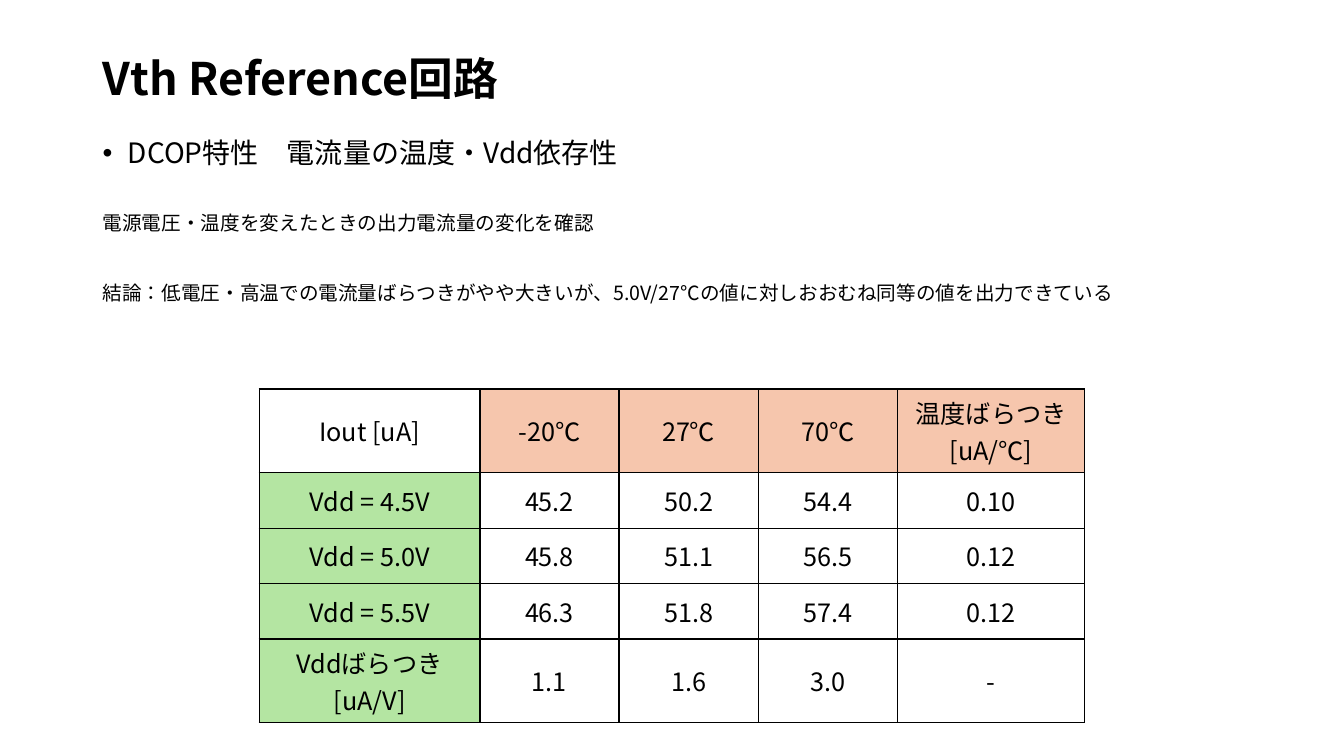
"""Build the Vth Reference circuit slide with its current table."""
from dataclasses import dataclass
from typing import Any

import lxml.etree
import pptx
import pptx.dml.color
import pptx.enum.lang
import pptx.enum.text
import pptx.oxml
import pptx.oxml.ns
import pptx.util

Inches = pptx.util.Inches
Pt = pptx.util.Pt
ALIGN = pptx.enum.text.PP_ALIGN
ANCHOR = pptx.enum.text.MSO_ANCHOR
JAPANESE = pptx.enum.lang.MSO_LANGUAGE_ID.JAPANESE
BLACK = pptx.dml.color.RGBColor(0x00, 0x00, 0x00)
ORANGE = pptx.dml.color.RGBColor(0xF6, 0xC6, 0xAD)
GREEN = pptx.dml.color.RGBColor(0xB4, 0xE5, 0xA2)
FONT = "Noto Sans CJK JP"


@dataclass(frozen=True)
class TextBlock:
    lines: tuple[str, ...]
    top: float
    height: float
    size: int
    bold: bool = False
    bullet: bool = False
    anchor: Any = ANCHOR.TOP
    gap: float = 0


BLOCKS = (
    TextBlock(("Vth Reference回路",), 0.4, 0.8, 32, bold=True, anchor=ANCHOR.MIDDLE),
    TextBlock(("DCOP特性　電流量の温度・Vdd依存性",), 1.33, 0.6, 20, bullet=True),
    TextBlock(
        (
            "電源電圧・温度を変えたときの出力電流量の変化を確認",
            "結論：低電圧・高温での電流量ばらつきがやや大きいが、5.0V/27℃の値に対しおおむね同等の値を出力できている",
        ),
        2.07, 1.37, 14, gap=35,
    ),
)
COL_WIDTHS = (2.19, 1.38, 1.38, 1.38, 1.86)
ROW_HEIGHTS = (0.83, 0.55, 0.55, 0.55, 0.83)
CURRENTS = (
    ("Iout [uA]", "-20℃", "27℃", "70℃", "温度ばらつき\n[uA/℃]"),
    ("Vdd = 4.5V", "45.2", "50.2", "54.4", "0.10"),
    ("Vdd = 5.0V", "45.8", "51.1", "56.5", "0.12"),
    ("Vdd = 5.5V", "46.3", "51.8", "57.4", "0.12"),
    ("Vddばらつき\n[uA/V]", "1.1", "1.6", "3.0", "-"),
)


def add_element(parent: Any, tag: str, **attrs: str) -> Any:
    """Append a DrawingML child element."""
    return lxml.etree.SubElement(parent, pptx.oxml.ns.qn(tag), attrs)


def set_attrs(target: Any, values: dict[str, Any]) -> None:
    """Set each named attribute on the target."""
    for name, value in values.items():
        setattr(target, name, value)


def format_run(r: Any, size: int, bold: bool = False) -> None:
    """Apply the slide font to a run."""
    r.font.color.rgb = BLACK
    set_attrs(r.font, {"name": FONT, "size": Pt(size), "bold": bold, "language_id": JAPANESE})
    add_element(r._r.get_or_add_rPr(), "a:ea", typeface=FONT)


def add_text(s: Any, block: TextBlock) -> None:
    """Draw one text block."""
    sp = s.shapes.add_textbox(Inches(0.92), Inches(block.top), Inches(11.5), Inches(block.height))
    tf = sp.text_frame
    set_attrs(tf, {"word_wrap": True, "vertical_anchor": block.anchor})
    for i, line in enumerate(block.lines):
        p = tf.paragraphs[0] if i == 0 else tf.add_paragraph()
        if block.bullet:
            pPr = p._p.get_or_add_pPr()
            pPr.set("marL", str(Inches(0.25)))
            pPr.set("indent", str(Inches(-0.25)))
            add_element(pPr, "a:buFont", typeface="Arial")
            add_element(pPr, "a:buChar", char="•")
        p.line_spacing = 0.9
        if i > 0:
            p.space_before = Pt(block.gap)
        r = p.add_run()
        r.text = line
        format_run(r, block.size, block.bold)


def add_borders(cell: Any) -> None:
    """Draw a thin black line on all four cell sides."""
    tcPr = cell._tc.get_or_add_tcPr()
    for side in ("a:lnL", "a:lnR", "a:lnT", "a:lnB"):
        ln = add_element(tcPr, side, w=str(Pt(1)))
        add_element(add_element(ln, "a:solidFill"), "a:srgbClr", val=str(BLACK))


def format_cell(cell: Any, text: str, fill: Any) -> None:
    """Fill in and format one table cell."""
    add_borders(cell)
    if fill is None:
        cell.fill.background()
    else:
        cell.fill.solid()
        cell.fill.fore_color.rgb = fill
    set_attrs(cell, {"text": text, "vertical_anchor": ANCHOR.MIDDLE})
    for p in cell.text_frame.paragraphs:
        p.alignment = ALIGN.CENTER
        for r in p.runs:
            format_run(r, 18)


def add_current_table(s: Any) -> None:
    """Draw the table of output currents."""
    table = s.shapes.add_table(
        len(ROW_HEIGHTS), len(COL_WIDTHS), Inches(2.57), Inches(3.86),
        Inches(sum(COL_WIDTHS)), Inches(sum(ROW_HEIGHTS)),
    ).table
    set_attrs(table, {"first_row": False, "horz_banding": False})
    for column, width in zip(table.columns, COL_WIDTHS):
        column.width = Inches(width)
    for row, height in zip(table.rows, ROW_HEIGHTS):
        row.height = Inches(height)
    for i, values in enumerate(CURRENTS):
        for j, text in enumerate(values):
            fill = GREEN if i and not j else ORANGE if j and not i else None
            format_cell(table.cell(i, j), text, fill)


def main() -> None:
    """Build and save the presentation."""
    prs = pptx.Presentation()
    set_attrs(prs, {"slide_width": Inches(13.33), "slide_height": Inches(7.5)})
    s = prs.slides.add_slide(prs.slide_layouts[6])
    for block in BLOCKS:
        add_text(s, block)
    add_current_table(s)
    prs.save("out.pptx")


if __name__ == "__main__":
    main()
